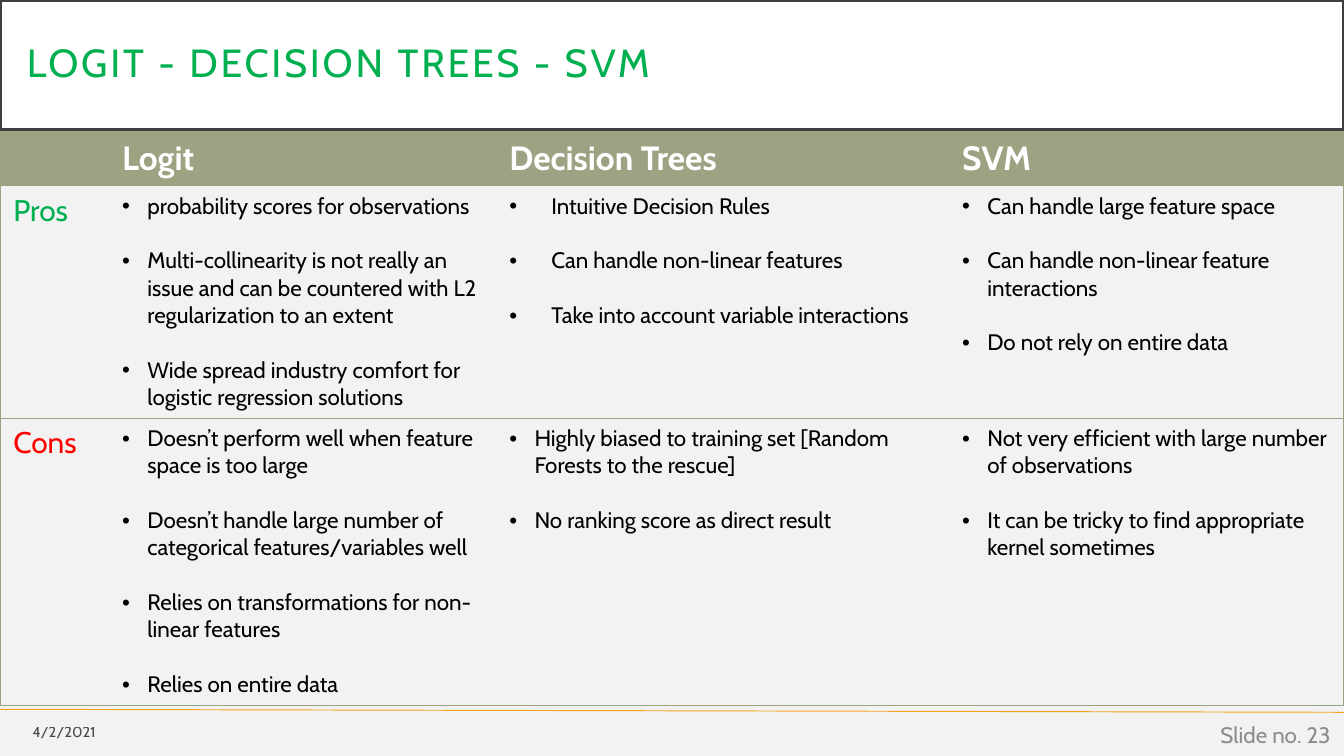
from lxml.etree import SubElement
from pptx import Presentation
from pptx.dml.color import RGBColor
from pptx.enum.shapes import MSO_CONNECTOR, MSO_SHAPE
from pptx.enum.text import MSO_ANCHOR, PP_ALIGN
from pptx.oxml.ns import qn
from pptx.util import Pt

GREEN, OLIVE, BLACK = "00B050", "9CA383", "000000"
NO_TABLE_STYLE = "{2D5ABB26-0587-4C30-8999-92F81FD0307C}"


def color(hex_code):
    return RGBColor.from_string(hex_code)


class SlideBuilder:
    font = "Cabin"
    blank_line = 14.6

    def __init__(self, slide, background):
        self.slide = slide
        slide.background.fill.solid()
        slide.background.fill.fore_color.rgb = color(background)

    def style(self, paragraph, size, ink, bold=False, spacing=0, alpha=100):
        for run in paragraph.runs:
            run.font.name, run.font.size, run.font.bold = self.font, Pt(size), bold
            run.font.color.rgb = color(ink)
            properties = run.font._element
            if spacing:
                properties.set("spc", str(round(spacing * 100)))
            if alpha < 100:
                tint = properties.find(".//" + qn("a:srgbClr"))
                SubElement(tint, qn("a:alpha"), val=str(alpha * 1000))

    def rule(self, x1, y1, x2, y2, ink, width):
        rule = self.slide.shapes.add_connector(
            MSO_CONNECTOR.STRAIGHT, Pt(x1), Pt(y1), Pt(x2), Pt(y2))
        rule.line.color.rgb = color(ink)
        rule.line.width = Pt(width)
        SubElement(rule._element.spPr, qn("a:effectLst"))

    def title(self, text, left, top, width, height):
        banner = self.slide.shapes.add_shape(
            MSO_SHAPE.RECTANGLE, Pt(left), Pt(top), Pt(width), Pt(height))
        banner.shadow.inherit = False
        banner.fill.solid()
        banner.fill.fore_color.rgb = color("FFFFFF")
        banner.line.color.rgb = color("404040")
        banner.line.width = Pt(2.5)
        frame = banner.text_frame
        frame.margin_left = frame.margin_right = Pt(14.4)
        frame.margin_top = frame.margin_bottom = Pt(14.4)
        frame.vertical_anchor = MSO_ANCHOR.MIDDLE
        frame.text = text
        heading = frame.paragraphs[0]
        heading.alignment = PP_ALIGN.LEFT
        heading.line_spacing = 0.9
        self.style(heading, 21, GREEN, spacing=1.5)

    def footer(self, text, left, top, width, height, size, ink, alpha=100):
        frame = self.slide.shapes.add_textbox(
            Pt(left), Pt(top), Pt(width), Pt(height)).text_frame
        frame.word_wrap = True
        frame.vertical_anchor = MSO_ANCHOR.MIDDLE
        frame.text = text
        frame.paragraphs[0].alignment = PP_ALIGN.RIGHT
        self.style(frame.paragraphs[0], size, ink, alpha=alpha)

    def table(self, left, top, widths, heights):
        table = self.slide.shapes.add_table(
            len(heights), len(widths), Pt(left), Pt(top),
            Pt(sum(widths)), Pt(sum(heights))).table
        table._tbl.tblPr.find(qn("a:tableStyleId")).text = NO_TABLE_STYLE
        for column, width in zip(table.columns, widths):
            column.width = Pt(width)
        for row, height in zip(table.rows, heights):
            row.height = Pt(height)
        return table

    def borders(self, cell, sides):
        for side in sides:
            line = SubElement(cell._tc.get_or_add_tcPr(), qn("a:ln" + side), w=str(Pt(0.5)))
            fill = SubElement(line, qn("a:solidFill"))
            SubElement(fill, qn("a:srgbClr"), val=OLIVE)

    def label(self, cell, text, size, ink, bold=False):
        cell.text_frame.text = text
        self.style(cell.text_frame.paragraphs[0], size, ink, bold)

    def bullets(self, cell, points, indent):
        cell.text_frame.text = "\n".join(points)
        for index, paragraph in enumerate(cell.text_frame.paragraphs):
            if index:
                paragraph.space_before = Pt(self.blank_line)
            self.style(paragraph, 12, BLACK)
            properties = paragraph._p.get_or_add_pPr()
            properties.set("marL", str(Pt(indent)))
            properties.set("indent", str(-Pt(indent)))
            SubElement(properties, qn("a:buFont"), typeface="Arial")
            SubElement(properties, qn("a:buChar"), char="•")


MODELS = ["Logit", "Decision Trees", "SVM"]
ASPECTS = [
    ("Pros", GREEN, [
        ["probability scores for observations",
         "Multi-collinearity is not really an issue and can be countered with L2 "
         "regularization to an extent",
         "Wide spread industry comfort for logistic regression solutions"],
        ["Intuitive Decision Rules",
         "Can handle non-linear features",
         "Take into account variable interactions"],
        ["Can handle large feature space",
         "Can handle non-linear feature interactions",
         "Do not rely on entire data"],
    ]),
    ("Cons", "FF0000", [
        ["Doesn’t perform well when feature space is too large",
         "Doesn’t handle large number of categorical features/variables well",
         "Relies on transformations for non-linear features",
         "Relies on entire data"],
        ["Highly biased to training set [Random Forests to the rescue]",
         "No ranking score as direct result"],
        ["Not very efficient with large number of observations",
         "It can be tricky to find appropriate kernel sometimes"],
    ]),
]


def main():
    deck = Presentation()
    deck.slide_width, deck.slide_height = Pt(720), Pt(405)
    builder = SlideBuilder(deck.slides.add_slide(deck.slide_layouts[6]), "F2F2F2")

    # Footer rule and title banner
    builder.rule(0, 380, 720, 381.6, "F6A21D", 0.5)
    builder.title("LOGIT - DECISION TREES - SVM", 0, 0, 720, 69.8)

    # Comparison table
    comparison = builder.table(0, 70.3, [58.3, 207.4, 242.6, 211.7], [29.3, 124.4, 153.7])
    for column, model in enumerate(MODELS, 1):
        builder.label(comparison.cell(0, column), model, 18, "FFFFFF", bold=True)
    for row, (aspect, ink, columns) in enumerate(ASPECTS, 1):
        builder.label(comparison.cell(row, 0), aspect, 16, ink)
        for column, points in enumerate(columns, 1):
            wide = (aspect, MODELS[column - 1]) == ("Pros", "Decision Trees")
            builder.bullets(comparison.cell(row, column), points, 22.5 if wide else 13.5)

    # Table borders and fills
    last = len(MODELS)
    for row in range(len(ASPECTS) + 1):
        for column in range(last + 1):
            cell = comparison.cell(row, column)
            outer = {0: "L", last: "R"}.get(column, "")
            builder.borders(cell, outer + "TB")
            if row == 0:
                cell.fill.solid()
                cell.fill.fore_color.rgb = color(OLIVE)
            else:
                cell.fill.background()

    # Date and slide number
    builder.footer("4/2/2021", 0, 382.3, 58.3, 19.4, 7.9, BLACK, alpha=70)
    builder.footer("Slide no. 23", 558, 383, 162, 21.6, 12, "8C8C8C")

    deck.save("out.pptx")


if __name__ == "__main__":
    main()
